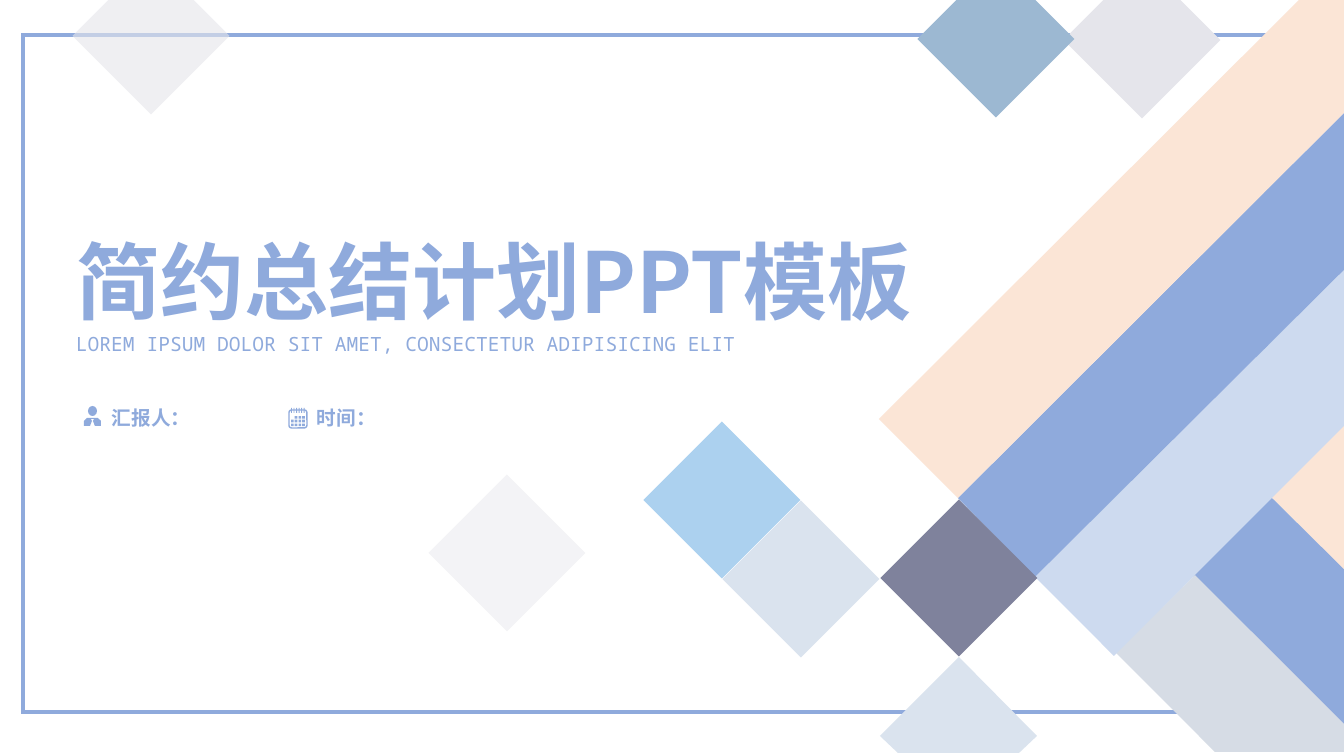
from lxml.etree import SubElement
from pptx import Presentation
from pptx.dml.color import RGBColor
from pptx.enum.shapes import MSO_SHAPE
from pptx.enum.text import MSO_ANCHOR, MSO_AUTO_SIZE, PP_ALIGN
from pptx.oxml.ns import qn
from pptx.util import Pt

PX = 914400 / 100.8
COLORS = {
    "blue": "8FAADC", "pale_blue": "CDDAEF", "sky": "ACD1EF", "steel": "9CB8D2",
    "ice": "DAE3EE", "slate": "7F829C", "peach": "FBE5D6", "silver": "D6DCE5",
    "mist": "E5E5EB", "fog": "F3F3F6",
}
CJK = "Noto Sans CJK SC"
BANDS = [
    ("peach", [(1270, 496), (1369, 594), (1369, 437), (1350, 418)]),
    ("blue", [(1270, 496), (1192, 575), (1369, 752), (1369, 594)]),
    ("silver", [(1116, 653), (1215, 752), (1372, 752), (1195, 575)]),
    ("pale_blue", [(1272, 498), (1370, 400), (1370, 244), (1035, 577), (1114, 656)]),
    ("blue", [(1035, 577), (1370, 244), (1370, 87), (958, 498)]),
    ("peach", [(1370, 87), (1370, 0), (1299, 0), (879, 419), (958, 498)]),
    ("ice", [(959, 657), (880, 736), (898, 753), (1019, 753), (1037, 736)]),
]
DIAMONDS = [
    ("mist", 1142, 40, 100), ("steel", 996, 39, 100),
    ("ice", 801, 579, 100), ("sky", 722, 500, 100), ("slate", 959, 578, 100),
    ("fog", 507, 553, 100), ("mist", 151, 36, 61),
]
DIAMOND_SIZE = 157


def emu(*lengths):
    """Convert px lengths to EMU."""
    return [round(n * PX) for n in lengths]


def rgb(name):
    """Look up a named colour."""
    return RGBColor.from_string(COLORS[name])


def paint(sp, fill=None, line=None, width=1, alpha=100):
    """Set fill, mitred outline and opacity, and drop the shadow."""
    sp.shadow.inherit = False
    if fill:
        sp.fill.solid()
        sp.fill.fore_color.rgb = rgb(fill)
        if alpha < 100:
            color = sp.fill._xPr.find(qn("a:solidFill"))[0]
            SubElement(color, qn("a:alpha"), val=str(alpha * 1000))
    else:
        sp.fill.background()
    if line:
        sp.line.color.rgb = rgb(line)
        sp.line.width = Pt(width)
        SubElement(sp.line._get_or_add_ln(), qn("a:miter"), lim="800000")
    else:
        sp.line.fill.background()
    return sp


def preset(shapes, kind, x, y, w, h, **style):
    """Add a painted preset shape."""
    return paint(shapes.add_shape(kind, *emu(x, y, w, h)), **style)


def polygon(shapes, points, **style):
    """Add a painted closed outline."""
    builder = shapes.build_freeform(*points[0], scale=PX)
    builder.add_line_segments(points[1:], close=True)
    return paint(builder.convert_to_shape(), **style)


def write(sp, text, size, font, bold=False, color="blue"):
    """Write one left-aligned, vertically centred line."""
    tf = sp.text_frame
    tf.word_wrap = True
    tf.auto_size = MSO_AUTO_SIZE.NONE
    tf.vertical_anchor = MSO_ANCHOR.MIDDLE
    p = tf.paragraphs[0]
    p.alignment = PP_ALIGN.LEFT
    r = p.add_run()
    r.text = text
    r.font.size, r.font.name, r.font.bold = Pt(size), font, bold
    r.font.color.rgb = rgb(color)
    SubElement(r._r.get_or_add_rPr(), qn("a:ea"), typeface=CJK)


def backdrop(s):
    """Draw the frame, diagonal bands and diamonds."""
    preset(s.shapes, MSO_SHAPE.RECTANGLE, 23, 35, 1243, 677, line="blue", width=2.25)
    for fill, points in BANDS:
        polygon(s.shapes, points, fill=fill)
    for fill, cx, cy, alpha in DIAMONDS:
        half = DIAMOND_SIZE / 2
        preset(s.shapes, MSO_SHAPE.DIAMOND, cx - half, cy - half,
               DIAMOND_SIZE, DIAMOND_SIZE, fill=fill, alpha=alpha)


def person_icon(s, x, y):
    """Draw a person with a tie."""
    shapes = s.shapes.add_group_shape().shapes
    body = [(0, 20), (0, 15), (3, 12), (14, 12), (17, 15), (17, 20), (11, 20),
            (9, 15), (10, 13), (7, 13), (8, 15), (6, 20)]
    polygon(shapes, [(x + dx, y + dy) for dx, dy in body], fill="blue")
    preset(shapes, MSO_SHAPE.OVAL, x + 4, y, 9, 10, fill="blue")


def calendar_icon(s, x, y, size):
    """Draw a calendar with rings and day cells."""
    shapes = s.shapes.add_group_shape().shapes
    page = preset(shapes, MSO_SHAPE.ROUNDED_RECTANGLE, x + 1, y + 2, size - 2, size - 2,
                  line="blue")
    page.adjustments[0] = 0.15
    inner = size - 6
    for i in range(6):
        preset(shapes, MSO_SHAPE.RECTANGLE, x + 3 + i * inner / 5.5, y, 1, 5, fill="blue")
    pitch = (inner + 1) / 4
    for row in range(3):
        for col in range(0 if row else 1, 4):
            preset(shapes, MSO_SHAPE.RECTANGLE, x + 3 + col * pitch, y + 8 + row * pitch,
                   pitch - 1, pitch - 1, fill="blue")


def label(s, x, y, w, h, text, **style):
    """Add a text box."""
    write(s.shapes.add_textbox(*emu(x, y, w, h)), text, **style)


def heading(s, x, y, w):
    """Place the title, subtitle and presenter details."""
    title = s.shapes.title
    title.left, title.top, title.width, title.height = emu(x, y, w, 112)
    write(title, "简约总结计划PPT模板", size=60, font=CJK, bold=True)
    label(s, x, y + 103, 755, 34, "LOREM IPSUM DOLOR SIT AMET, CONSECTETUR ADIPISICING ELIT",
          size=14, font="Noto Sans Mono")
    person_icon(s, x + 18, y + 182)
    calendar_icon(s, x + 222, y + 184, 20)
    for dx, width, text in [(36, 206, "汇报人："), (241, 257, "时间：")]:
        label(s, x + dx, y + 177, width, 34, text, size=14, font="Arial", bold=True)


def main():
    """Build the cover slide."""
    prs = Presentation()
    prs.slide_width, prs.slide_height = emu(1344, 756)
    s = prs.slides.add_slide(prs.slide_layouts[5])
    backdrop(s)
    heading(s, 66, 224, 929)
    prs.save("out.pptx")


if __name__ == "__main__":
    main()
